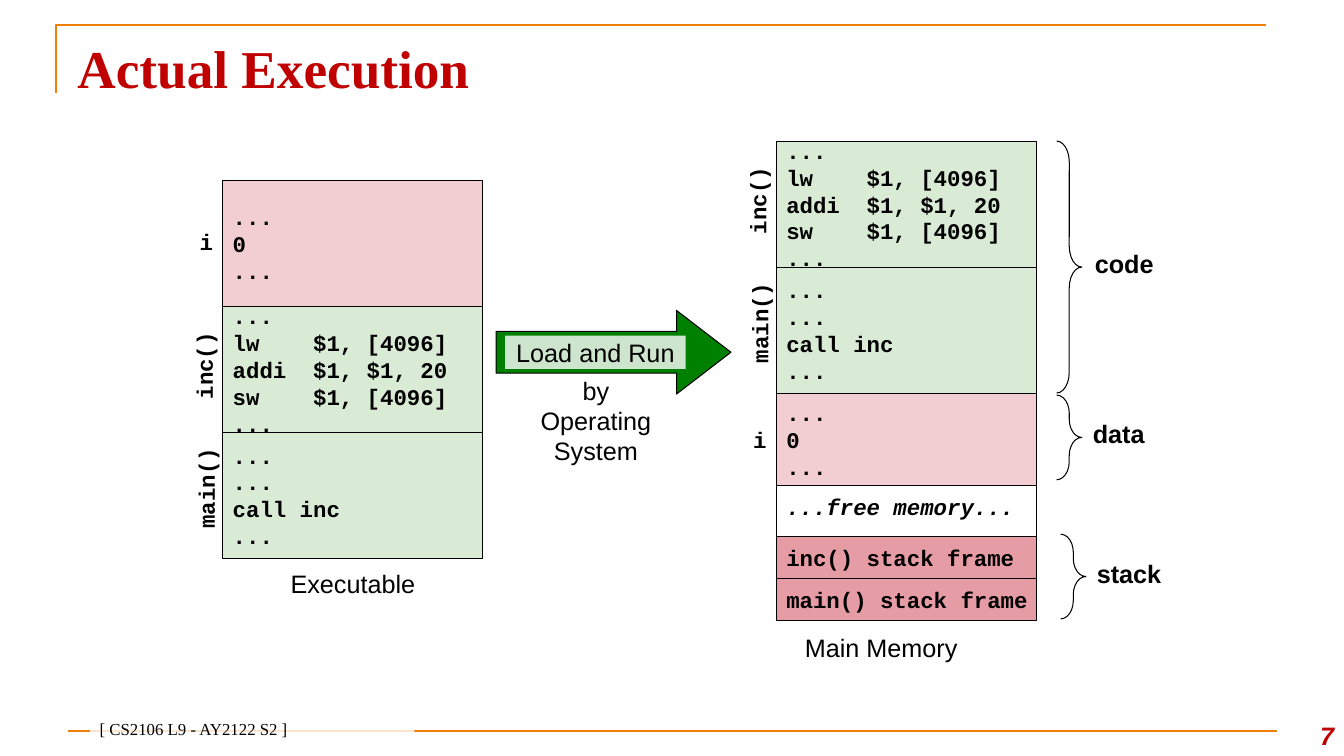
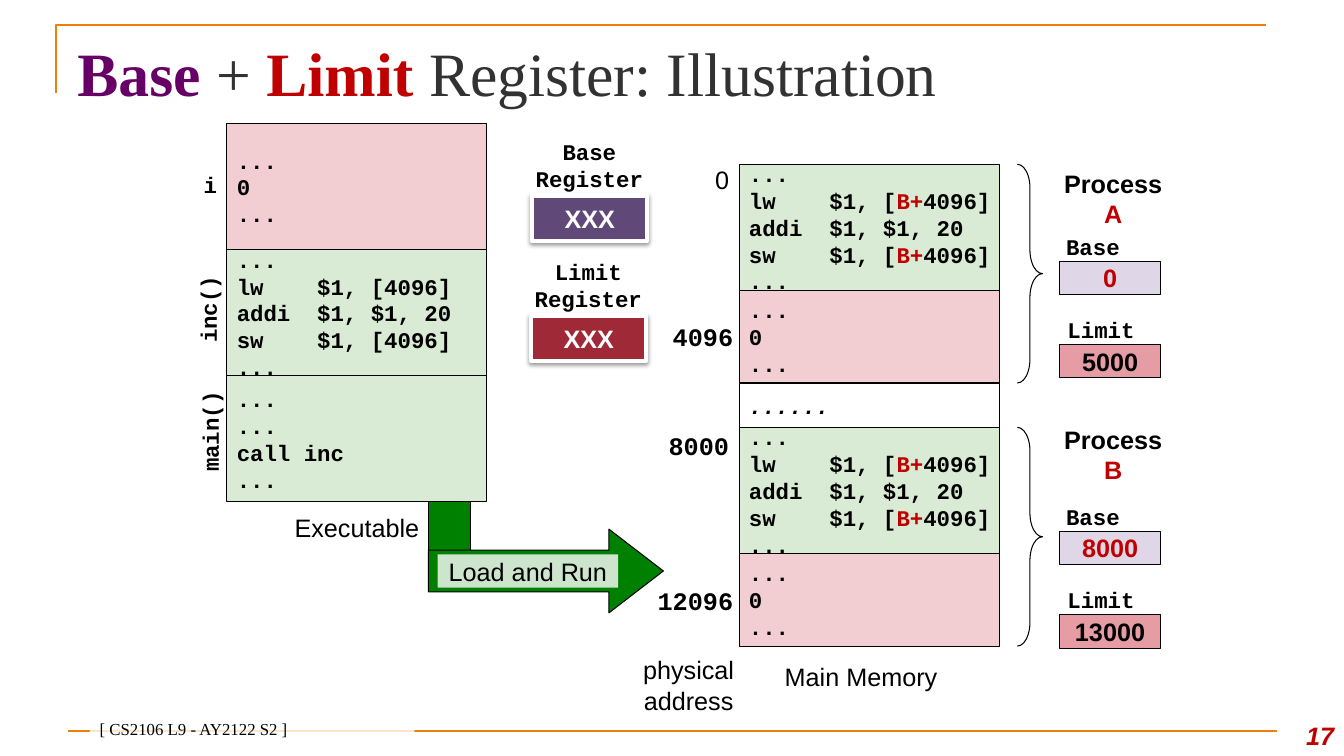
from lxml import etree
from pptx import Presentation
from pptx.dml.color import RGBColor
from pptx.enum import shapes, text
from pptx.oxml import ns
from pptx.util import Inches, Pt

HUES = {
    "black": "000000", "white": "FFFFFF", "red": "C00000", "grey": "323232",
    "plum": "660066", "orange": "F07F09", "arrow": "008000", "code": "D9EAD5",
    "data": "F2CED2", "stack": "E69CA4", "base": "DFD7E7",
    "violet": "604878", "crimson": "9F2936",
}
KIND = shapes.MSO_SHAPE
SIDE = {"l": text.PP_ALIGN.LEFT, "c": text.PP_ALIGN.CENTER, "r": text.PP_ALIGN.RIGHT}
HOLD = {"t": text.MSO_ANCHOR.TOP, "m": text.MSO_ANCHOR.MIDDLE, "b": text.MSO_ANCHOR.BOTTOM}
MONO = {"font": "Courier New", "size": 16, "bold": True}
CELL = {**MONO, "edge": "black"}
MARK = {**MONO, "hold": "t", "wrap": True}
MID = {"side": "c"}
HEAD = {"side": "c", "bold": True, "hold": "t", "wrap": True}

INC = "...\nlw    $1, [4096]\naddi  $1, $1, 20\nsw    $1, [4096]\n..."
BASED = INC.replace("[4096]", "[|B+|4096]")
MAIN = "...\n...\ncall inc\n..."
DATA = "...\n0\n..."
WIDE = 2.58


def hue(name):
    return RGBColor.from_string(HUES[name])


def put(page, kind, spot, words="", fill=None, edge=None, inks=("black",), size=18,
        font="Arial", bold=False, slant=False, side="l", hold="m", wrap=False,
        turn=0, clear=False):
    area = [Inches(n) for n in spot]
    if kind is None:
        item = page.shapes.add_textbox(*area)
    else:
        item = page.shapes.add_shape(kind, *area)
        item.shadow.inherit = False
        if fill:
            item.fill.solid()
            item.fill.fore_color.rgb = hue(fill)
        else:
            item.fill.background()
        if edge:
            item.line.color.rgb = hue(edge)
            item.line.width = Pt(0.75)
        else:
            item.line.fill.background()
    if clear:
        tone = item.fill._xPr.find(".//" + ns.qn("a:srgbClr"))
        etree.SubElement(tone, ns.qn("a:alpha"), val="80000")
    item.rotation = turn
    frame = item.text_frame
    frame.word_wrap = wrap
    frame.vertical_anchor = HOLD[hold]
    for num, line in enumerate(words.split("\n") if words else []):
        para = frame.add_paragraph() if num else frame.paragraphs[0]
        para.alignment = SIDE[side]
        for pos, part in enumerate(line.split("|")):
            run = para.add_run()
            run.text = part
            run.font.name = font
            run.font.size = Pt(size)
            run.font.bold = bold
            run.font.italic = slant
            run.font.color.rgb = hue(inks[pos % len(inks)])
    return item


def brace(page, spot, bend):
    item = put(page, KIND.RIGHT_BRACE, spot, edge="black")
    item.adjustments[0] = bend
    item.adjustments[1] = 0.5


deck = Presentation()
deck.slide_width = Inches(13.33)
deck.slide_height = Inches(7.5)

pages = []
for name, inks, size, num in (
    ("Actual Execution", ["red"], 38, "7"),
    ("Base| + |Limit| Register: Illustration", ["plum", "grey", "red", "grey"], 44, "17"),
):
    page = deck.slides.add_slide(deck.slide_layouts[6])
    pages.append(page)
    path = page.shapes.build_freeform(Inches(0.56), Inches(0.92))
    path.add_line_segments(
        [(Inches(0.56), Inches(0.25)), (Inches(12.56), Inches(0.25))], close=False)
    trim = path.convert_to_shape()
    trim.shadow.inherit = False
    trim.fill.background()
    rule = page.shapes.add_connector(
        shapes.MSO_CONNECTOR.STRAIGHT, Inches(0.67), Inches(7.25), Inches(12.67), Inches(7.25))
    etree.SubElement(rule._element.spPr, ns.qn("a:effectLst"))
    for line in (trim.line, rule.line):
        line.color.rgb = hue("orange")
        line.width = Pt(1.5)
    put(page, KIND.RECTANGLE, (0.89, 7.13, 3.22, 0.25), "[ CS2106 L9 - AY2122 S2 ]",
        fill="white", clear=True, size=12, font="Times New Roman", hold="b", wrap=True)
    put(page, None, (12.55, 7, 0.78, 0.5), num, inks=["red"], bold=True, slant=True,
        side="r", hold="b", wrap=True)
    title = put(page, None, (0.67, 0.3, 12, 0.78), name, inks=inks, size=size,
                font="Times New Roman", bold=True, hold="t", wrap=True)
    for run in title.text_frame.paragraphs[0].runs[1::2]:
        run.font.bold = False

first, second = pages
put(second, KIND.RECTANGLE, (4.25, 4.83, 0.42, 1), fill="arrow", edge="black")

for page, left, top, x, y in ((first, 2.21, 1.79, 4.92, 3.08), (second, 2.25, 1.23, 4.25, 5.25)):
    arrow = put(page, KIND.RIGHT_ARROW, (x, y, 2.33, 0.83), fill="arrow", edge="black")
    arrow.adjustments[0] = 0.5
    arrow.adjustments[1] = 0.65
    put(page, KIND.RECTANGLE, (x + 0.09, y + 0.25, 1.79, 0.33), "Load and Run",
        fill="white", clear=True, **MID)
    for row, (words, fill) in enumerate(((DATA, "data"), (INC, "code"), (MAIN, "code"))):
        put(page, KIND.RECTANGLE, (left, top + 1.25 * row, WIDE, 1.25), words, fill=fill, **CELL)
    put(page, None, (left - 1.17, top + 0.42, 1.17, 0.37), "i", side="r", **MARK)
    put(page, None, (left - 0.77, top + 1.5, 1.17, 0.37), "inc()", turn=270, **MARK)
    put(page, None, (left - 0.75, top + 2.78, 1.17, 0.37), "main()", turn=270, **MARK)
    put(page, None, (left + 0.25, top + 3.75, 2.08, 0.5), "Executable", **MID)

put(first, None, (5.2, 3.67, 1.42, 1), "by Operating System", side="c", hold="t", wrap=True)
for y, high, words, fill, slant in (
    (4.74, 0.58, "...free memory...", "white", True),
    (1.4, 1.25, INC, "code", False),
    (2.65, 1.25, MAIN, "code", False),
    (3.9, 0.92, DATA, "data", False),
    (5.32, 0.42, "inc() stack frame", "stack", False),
    (5.74, 0.42, "main() stack frame", "stack", False),
):
    put(first, KIND.RECTANGLE, (7.7, y, WIDE, high), words, fill=fill, slant=slant, **CELL)
put(first, None, (6.93, 1.65, 1.17, 0.37), "inc()", turn=270, **MARK)
put(first, None, (6.95, 2.93, 1.17, 0.37), "main()", turn=270, **MARK)
put(first, None, (6.53, 4.18, 1.17, 0.37), "i", side="r", **MARK)
put(first, None, (7.7, 6.17, 2.08, 0.5), "Main Memory", **MID)
for x, y, high, bend, words, left, top in (
    (10.48, 1.4, 2.5, 0.83, "code", 10.76, 2.41),
    (10.48, 3.92, 0.84, 0.72, "data", 10.74, 4.1),
    (10.52, 5.3, 0.84, 0.72, "stack", 10.78, 5.49),
):
    brace(first, (x, y, 0.25, high), bend)
    put(first, None, (left, top, 0.89, 0.4), words, bold=True, hold="t", wrap=True)

put(second, KIND.RECTANGLE, (7.33, 3.8, WIDE, 0.44), "......", fill="white", slant=True, **CELL)
for y, name, top, base, limit, row in (
    (1.63, "A", 1.62, "0", "5000", 2.59),
    (4.24, "B", 4.16, "8000", "13000", 5.27),
):
    put(second, KIND.RECTANGLE, (7.33, y, WIDE, 1.25), BASED, fill="code",
        inks=["black", "red"], **CELL)
    put(second, KIND.RECTANGLE, (7.33, y + 1.25, WIDE, 0.92), DATA, fill="data", **CELL)
    brace(second, (10.09, y, 0.25, 2.17), 0.94)
    put(second, None, (10.42, top, 1.24, 0.71), "Process |" + name,
        inks=["black", "red"], **HEAD)
    for word, value, fill, ink, x, down in (
        ("Base", base, "base", "red", 10.34, 0),
        ("Limit", limit, "stack", "black", 10.42, 0.83),
    ):
        put(second, KIND.RECTANGLE, (10.51, row + down, 1, 0.33), value, fill=fill,
            edge="black", inks=[ink], bold=True, **MID)
        put(second, None, (x, row + down - 0.33, 1, 0.37), word, side="c", **MARK)

for right, y, high, words, font, bold in (
    (7.33, 1.63, 0.3, "0", "Arial", False),
    (7.37, 3.05, 0.58, "4096", "Courier New", True),
    (7.33, 4.26, 0.31, "8000", "Courier New", True),
    (7.37, 5.67, 0.58, "12096", "Courier New", True),
):
    put(second, None, (right - 1.2, y, 1.2, high), words, font=font, bold=bold, side="r")
put(second, None, (6.15, 6.42, 1.36, 0.75), "physical address", wrap=True, **MID)
put(second, None, (7.5, 6.46, 2.08, 0.5), "Main Memory", **MID)

for x, y, words, fill in ((5.28, 1.94, "Base Register", "violet"),
                          (5.27, 3.13, "Limit Register", "crimson")):
    tile = put(second, KIND.RECTANGLE, (x, y, 1.14, 0.45), "XXX", fill=fill, edge="white",
               inks=["white"], bold=True, **MID)
    tile.line.width = Pt(3)
    glow = etree.SubElement(
        tile._element.spPr.find(ns.qn("a:effectLst")), ns.qn("a:outerShdw"),
        blurRad=str(Pt(3.1)), dist=str(Pt(1.6)), dir="5400000", rotWithShape="0")
    tone = etree.SubElement(glow, ns.qn("a:srgbClr"), val=HUES["black"])
    etree.SubElement(tone, ns.qn("a:alpha"), val="38000")
    put(second, None, (x - 0.26, y - 0.62, 1.65, 0.64), words, side="c", **MARK)

deck.save("out.pptx")
